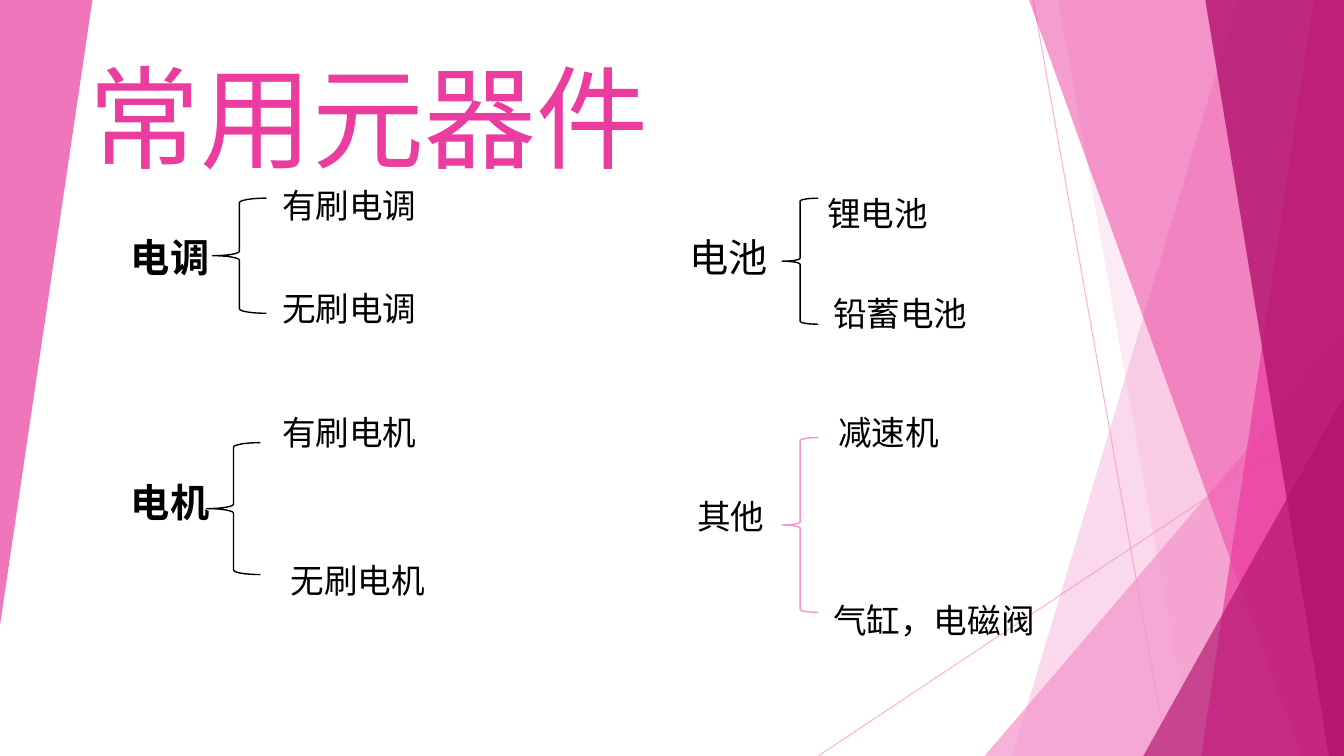
from lxml import etree
from pptx import Presentation
from pptx.dml.color import RGBColor
from pptx.enum.shapes import MSO_CONNECTOR as CONN, MSO_SHAPE as SHAPE
from pptx.enum.text import MSO_ANCHOR as ANCHOR
from pptx.oxml.ns import qn
from pptx.util import Inches, Pt

PALE = RGBColor(0xF4, 0x96, 0xCB)
PINK = RGBColor(0xEB, 0x3D, 0x9F)
PLUM = RGBColor(0xB2, 0x13, 0x6D)
BLACK = RGBColor(0, 0, 0)
WHITE = RGBColor(0xFF, 0xFF, 0xFF)
COLS, ROWS = 160, 90


class Deck:
    """Style and current slide; lengths are columns and rows of a 160 x 90 grid."""
    font = "Cabin"

    def __init__(self):
        self.prs = Presentation()
        self.prs.slide_width, self.prs.slide_height = Inches(13.333), Inches(7.5)
        self.s = self.prs.slides.add_slide(self.prs.slide_layouts[6])

    def x(self, col):
        return round(self.prs.slide_width * col / COLS)

    def y(self, row):
        return round(self.prs.slide_height * row / ROWS)

    def box(self, left, top, width, height):
        return self.x(left), self.y(top), self.x(width), self.y(height)

    def fade(self, fmt, opacity):
        """Set the opacity, in percent, of a solid colour."""
        clr = fmt.find(".//" + qn("a:srgbClr"))
        etree.SubElement(clr, qn("a:alpha")).set("val", str(opacity * 1000))

    def paint(self, sp, color, opacity):
        sp.shadow.inherit = False
        sp.fill.solid()
        sp.fill.fore_color.rgb = color
        sp.line.fill.background()
        self.fade(sp._element.spPr, opacity)

    def line(self, x1, y1, x2, y2, color, opacity):
        ln = self.s.shapes.add_connector(
            CONN.STRAIGHT, self.x(x1), self.y(y1), self.x(x2), self.y(y2))
        ln.line.color.rgb = color
        ln.line.width = Pt(0.75)
        self.fade(ln._element.spPr, opacity)
        etree.SubElement(ln._element.spPr, qn("a:effectLst"))

    def facet(self, top_x, bottom_x, color, opacity):
        """Full-height band from a slanted left edge to the right slide edge."""
        fb = self.s.shapes.build_freeform(self.x(top_x), 0)
        fb.add_line_segments([(self.x(COLS), 0), (self.x(COLS), self.y(ROWS)),
                              (self.x(bottom_x), self.y(ROWS))], close=True)
        self.paint(fb.convert_to_shape(), color, opacity)

    def triangle(self, box, color, opacity, rotation=0):
        sp = self.s.shapes.add_shape(SHAPE.ISOSCELES_TRIANGLE, *self.box(*box))
        sp.adjustments[0] = 1
        sp.rotation = rotation
        self.paint(sp, color, opacity)

    def brace(self, box, color, fill):
        sp = self.s.shapes.add_shape(SHAPE.LEFT_BRACE, *self.box(*box))
        sp.shadow.inherit = False
        if fill is None:
            sp.fill.background()
        else:
            sp.fill.solid()
            sp.fill.fore_color.rgb = fill
        sp.line.color.rgb = color
        sp.line.width = Pt(1)

    def text(self, text, box, size, color=BLACK, bold=False, anchor=ANCHOR.TOP):
        tf = self.s.shapes.add_textbox(*self.box(*box)).text_frame
        tf.word_wrap, tf.vertical_anchor = True, anchor
        r = tf.paragraphs[0].add_run()
        r.text = text
        for name, value in {"name": self.font, "size": Pt(size), "bold": bold}.items():
            setattr(r.font, name, value)
        r.font.color.rgb = color
        etree.SubElement(r._r.rPr, qn("a:ea")).set("typeface", self.font)


# label (text, box, size, bold), brace (box, line, fill), items (text, left, top, width)
GROUPS = [
    (("电调", (14.4, 27.2, 22, 6.4), 28, True),
     ((25.3, 23.6, 6.4, 13.7), BLACK, WHITE),
     [("有刷电调", 32.4, 21.4, 22), ("无刷电调", 32.4, 33.7, 18.7)]),
    (("电机", (14.4, 56.3, 22, 6.4), 28, True),
     ((24.6, 52.7, 6.4, 15.7), BLACK, None),
     [("有刷电机", 32.4, 48.5, 20.4), ("无刷电机", 33.4, 66.1, 19.6)]),
    (("电池", (80.9, 27.2, 12.8, 6.8), 28, False),
     ((93.1, 23.6, 4.3, 15), BLACK, None),
     [("锂电池", 97.3, 22.4, 19.4), ("铅蓄电池", 98, 34.3, 21.6)]),
    (("其他", (81.8, 58.4, 16, 6), 24, False),
     ((93.1, 52.1, 4.3, 20.8), PALE, None),
     [("减速机", 98.6, 48.5, 16.9), ("气缸，电磁阀", 98, 70.8, 27.1)]),
]


def main():
    d = Deck()

    # Faceted background, back to front
    d.line(123, 0, 139, 90, PALE, 70)
    d.line(160, 48.4, 97.4, 90, PALE, 70)
    d.facet(147.4, 120.5, PALE, 36)
    d.facet(126, 142, PALE, 20)
    d.triangle((117.2, 40, 42.8, 50), PALE, 72)
    d.facet(122.5, 154.9, PINK, 50)
    d.facet(156.4, 143, PINK, 70)
    d.facet(143.5, 158.2, PLUM, 80)
    d.triangle((136.1, 47.2, 23.9, 42.8), PLUM, 66)
    d.triangle((0, 0, 11, 74.4), PINK, 70, rotation=180)

    # Title
    d.text("常用元器件", (9.4, 0.8, 101.9, 21.6), 80, PINK, anchor=ANCHOR.BOTTOM)

    # Component groups
    for label, brace, items in GROUPS:
        d.brace(*brace)
        d.text(*label[:3], bold=label[3])
        for text, left, top, width in items:
            d.text(text, (left, top, width, 6), 24)

    d.prs.save("out.pptx")


if __name__ == "__main__":
    main()
